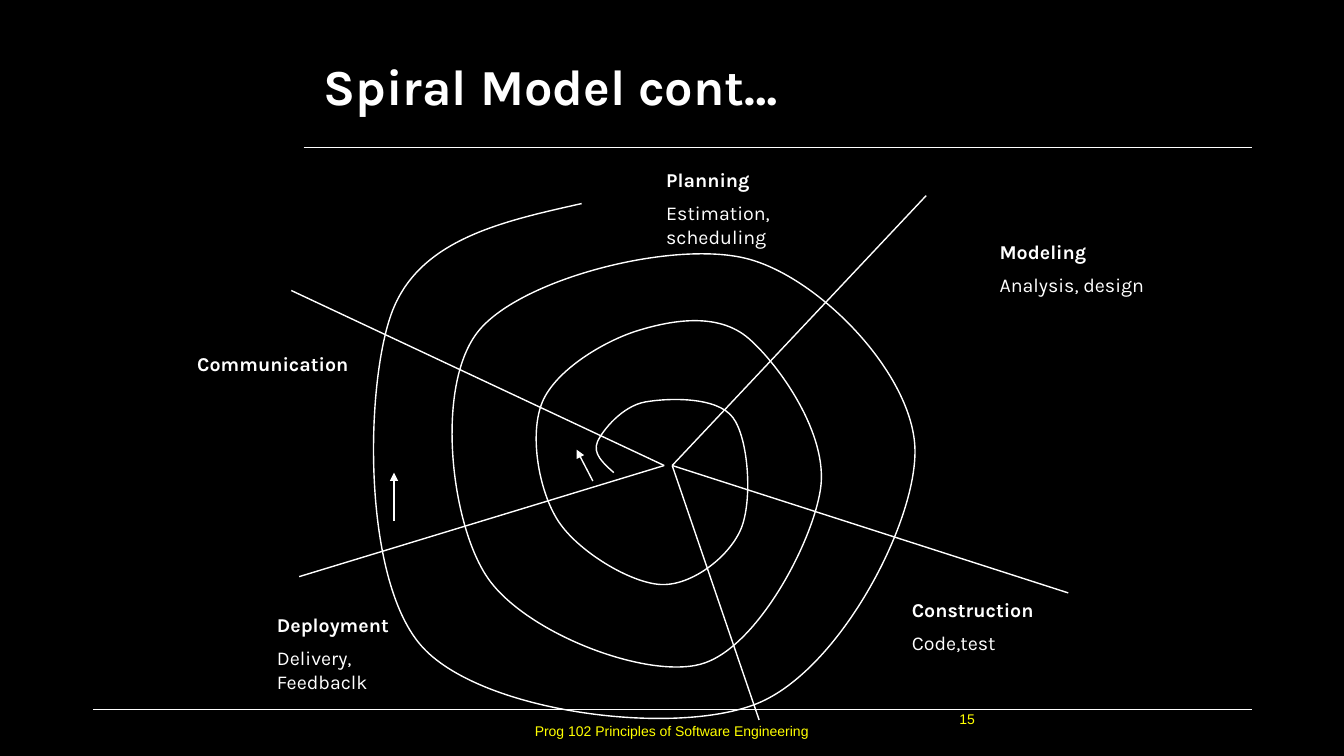
"""Build the spiral model slide."""
from dataclasses import dataclass

from lxml.etree import SubElement
from pptx import Presentation
from pptx.dml.color import RGBColor as Rgb
from pptx.enum.shapes import MSO_CONNECTOR as Link
from pptx.enum.text import MSO_ANCHOR as Anchor, MSO_AUTO_SIZE as Auto, PP_ALIGN as Align
from pptx.oxml.ns import qn
from pptx.slide import Slide
from pptx.util import Cm, Pt

HUES = {"back": "000000", "ink": "FFFFFF", "foot": "FFFF00"}
Point = tuple[float, float]


@dataclass
class Ray:
    start: Point
    end: Point
    width: float = 1
    arrow: bool = False


@dataclass
class Label:
    box: tuple[float, float, float, float]
    lines: list[str]
    size: float = 14
    font: str = "Karla"
    hue: str = "ink"
    bold: bool = True
    anchor: Anchor = Anchor.TOP
    align: Align = Align.LEFT
    space: float | None = None
    grow: bool = False


LEFT, RIGHT = (16.74, 11.73), (16.94, 11.73)
RULES = [
    Ray((2.34, 17.88), (31.55, 17.88), 0.5),
    Ray((7.65, 3.71), (31.55, 3.71), 0.5),
]
RAYS = [
    Ray(LEFT, (7.54, 14.53)),
    Ray(LEFT, (7.34, 7.32)),
    Ray(RIGHT, (23.34, 4.93)),
    Ray(RIGHT, (26.92, 14.94)),
    Ray(RIGHT, (19.13, 18.14)),
    Ray((14.94, 12.12), (14.53, 11.33), arrow=True),
    Ray((9.93, 13.13), (9.93, 11.91), arrow=True),
]
KNOTS = [
    (15.47, 11.91), (15.06, 11.13), (16.26, 10.13), (18.47, 10.52), (18.67, 13.34),
    (16.66, 14.73), (14.07, 13.13), (13.67, 10.13), (16.08, 8.33), (18.87, 8.53),
    (20.68, 12.32), (17.65, 16.74), (12.27, 14.53), (12.07, 8.33), (18.87, 6.53),
    (23.06, 11.33), (19.08, 17.73), (10.67, 16.33), (9.86, 7.92), (14.66, 5.13),
]
LABELS = [
    Label((12.9, 17.78, 8.05, 1.27), ["Prog 102 Principles of Software Engineering"],
          10, "Arial", "foot", False, Anchor.MIDDLE, Align.CENTER),
    Label((23.93, 17.78, 5.28, 1.27), ["15"], 10, "Arial", "foot", False),
    Label((7.9, 0.79, 23.65, 2.92), ["Spiral Model cont…"], 36,
          anchor=Anchor.MIDDLE, space=0.9),
    Label((16.54, 4.11, 3.81, 2.36), ["Planning", "Estimation, scheduling"], grow=True),
    Label((24.94, 5.92, 4.19, 1.75), ["Modeling", "Analysis, design"], grow=True),
    Label((22.73, 14.94, 4.01, 1.75), ["Construction", "Code,test"], grow=True),
    Label((6.73, 15.32, 3.61, 2.36), ["Deployment", "Delivery, Feedbaclk"], grow=True),
    Label((4.72, 8.74, 4.6, 0.84), ["Communication"], grow=True),
]


def tint(name: str) -> Rgb:
    return Rgb.from_string(HUES[name])


def draw_ray(slide: Slide, ray: Ray) -> None:
    ends = [Cm(n) for n in ray.start + ray.end]
    line = slide.shapes.add_connector(Link.STRAIGHT, *ends)
    line.line.color.rgb = tint("ink")
    line.line.width = Pt(ray.width)
    if ray.arrow:
        SubElement(line.line._get_or_add_ln(), qn("a:tailEnd"), type="triangle")
    SubElement(line._element.spPr, qn("a:effectLst"))


def bend(knots: list[Point]) -> list[Point]:
    """Return two handles and an end for each curve between knots."""
    def handle(i: int, sign: int) -> Point:
        (ax, ay), (x, y), (bx, by) = knots[i - 1:i + 2]
        return x + sign * (bx - ax) / 6, y + sign * (by - ay) / 6

    def mid(a: Point, b: Point) -> Point:
        return (a[0] + b[0]) / 2, (a[1] + b[1]) / 2

    last = len(knots) - 1
    points = []
    for i in range(last):
        out = handle(i, 1) if i else mid(knots[0], handle(1, -1))
        into = handle(i + 1, -1) if i + 1 < last else mid(out, knots[last])
        points += [out, into, knots[i + 1]]
    return points


def draw_coil(slide: Slide, knots: list[Point]) -> None:
    start, *rest = [(Cm(x), Cm(y)) for x, y in [knots[0]] + bend(knots)]
    pen = slide.shapes.build_freeform(*start)
    pen.add_line_segments(rest, close=False)
    coil = pen.convert_to_shape()
    coil.shadow.inherit = False
    coil.fill.background()
    coil.line.color.rgb = tint("ink")
    coil.line.width = Pt(1)
    route = next(coil._element.iter(qn("a:path")))
    steps = route.findall(qn("a:lnTo"))
    for i in range(0, len(steps), 3):
        curve = SubElement(route, qn("a:cubicBezTo"))
        for step in steps[i:i + 3]:
            curve.append(step[0])
            route.remove(step)


def draw_label(slide: Slide, label: Label) -> None:
    frame = slide.shapes.add_textbox(*[Cm(n) for n in label.box]).text_frame
    frame.word_wrap = True
    frame.auto_size = Auto.SHAPE_TO_FIT_TEXT if label.grow else Auto.NONE
    frame.vertical_anchor = label.anchor
    frame.text = "\n".join(label.lines)
    for i, para in enumerate(frame.paragraphs):
        para.alignment = label.align
        if label.space:
            para.line_spacing = label.space
        if i:
            para.space_before = Pt(label.size / 2)
        font = para.runs[0].font
        font.name = label.font
        font.size = Pt(label.size)
        font.bold = label.bold and i == 0
        font.color.rgb = tint(label.hue)


def main() -> None:
    deck = Presentation()
    deck.slide_width, deck.slide_height = Cm(33.87), Cm(19.05)
    slide = deck.slides.add_slide(deck.slide_layouts[6])
    fill = slide.background.fill
    fill.solid()
    fill.fore_color.rgb = tint("back")
    for rule in RULES:
        draw_ray(slide, rule)
    draw_coil(slide, KNOTS)
    for ray in RAYS:
        draw_ray(slide, ray)
    for label in LABELS:
        draw_label(slide, label)
    deck.save("out.pptx")


if __name__ == "__main__":
    main()
